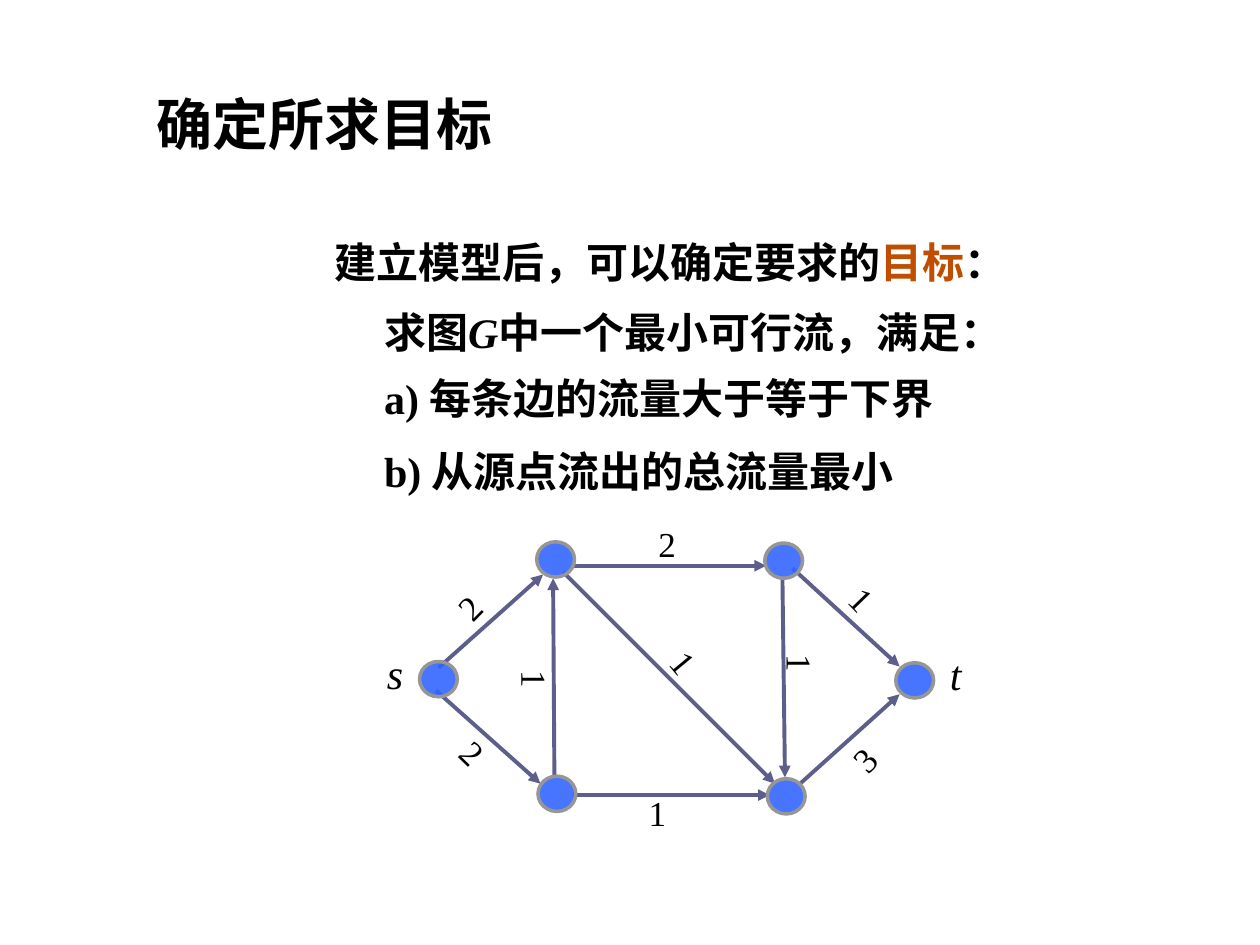
"""Build the slide that states the objective of a minimum feasible flow."""
from lxml.etree import SubElement
from pptx import Presentation
from pptx.dml.color import RGBColor
from pptx.enum.lang import MSO_LANGUAGE_ID
from pptx.enum.shapes import MSO_CONNECTOR, MSO_SHAPE
from pptx.enum.text import MSO_ANCHOR, PP_ALIGN
from pptx.oxml.ns import qn
from pptx.util import Inches, Pt


def color(value):
    return RGBColor.from_string(value)


def add_text(left, top, width, height, runs, size, bold=False, align=PP_ALIGN.LEFT):
    box = slide.shapes.add_textbox(Inches(left), Inches(top), Inches(width), Inches(height))
    box.text_frame.word_wrap = True
    paragraph = box.text_frame.paragraphs[0]
    paragraph.alignment = align
    for text, ink, italic in runs:
        run = paragraph.add_run()
        run.text = text
        run.font.name = "Times New Roman"
        run.font.size = Pt(size)
        run.font.bold = bold
        run.font.italic = italic
        run.font.color.rgb = color(ink)
        run.font.language_id = MSO_LANGUAGE_ID.SIMPLIFIED_CHINESE
    return box


BLACK, ORANGE = "000000", "C04E00"
EDGE, NODE_FILL, NODE_LINE = "5E5E8C", "3366FF", "969696"
NODE_WIDTH, NODE_HEIGHT = 0.3, 0.28

presentation = Presentation()
presentation.slide_width, presentation.slide_height = Inches(10), Inches(7.5)
slide = presentation.slides.add_slide(presentation.slide_layouts[6])

title = add_text(1.14, 0.57, 5.59, 0.82, [("确定所求目标", BLACK, False)], 32, bold=True)
title.text_frame.vertical_anchor = MSO_ANCHOR.MIDDLE

statements = [
    (2.56, 1.83, 5.91, [("建立模型后，可以确定要求的", BLACK, False),
                        ("目标", ORANGE, False), ("：", BLACK, False)]),
    (2.95, 2.38, 5.75, [("求图", BLACK, False), ("G", BLACK, True),
                        ("中一个最小可行流，满足：", BLACK, False)]),
    (2.95, 2.91, 4.8, [("a) 每条边的流量大于等于下界", BLACK, False)]),
    (2.95, 3.49, 4.96, [("b) 从源点流出的总流量最小", BLACK, False)]),
]
for left, top, width, runs in statements:
    add_text(left, top, width, 0.5, runs, 24, bold=True)

for name, left, top in [("s", 2.89, 5.09), ("t", 7.34, 5.1)]:
    add_text(left, top, 0.49, 0.5, [(name, BLACK, True)], 24, align=PP_ALIGN.CENTER)

lower_bounds = [
    ("2", 5.05, 4.1, 0.49, 0),
    ("1", 5.05, 6.23, 0.32, 0),
    ("3", 6.7, 5.83, 0.28, 313.6),
    ("1", 6.54, 4.54, 0.6, 45.9),
    ("2", 3.54, 4.6, 0.37, 314.5),
    ("2", 3.56, 5.76, 0.38, 44.2),
    ("1", 4.07, 5.17, 0.35, 90),
    ("1", 5.26, 5.03, 0.32, 50.4),
    ("1", 6.13, 5.04, 0.44, 90),
]
for bound, left, top, width, angle in lower_bounds:
    label = add_text(left, top, width, 0.44, [(bound, BLACK, False)], 20, align=PP_ALIGN.CENTER)
    label.rotation = angle

edges = [
    (3.46, 5.48, 4.29, 6.22),
    (3.48, 5.3, 4.31, 4.56),
    (4.4, 6.16, 4.39, 4.59),
    (4.55, 4.49, 6.08, 4.49),
    (4.55, 6.31, 6.11, 6.31),
    (6.21, 4.59, 6.23, 6.17),
    (4.47, 4.54, 6.15, 6.22),
    (6.29, 4.51, 7.14, 5.29),
    (6.35, 6.22, 7.14, 5.51),
]
for ends in edges:
    edge = slide.shapes.add_connector(MSO_CONNECTOR.STRAIGHT, *map(Inches, ends))
    edge.line.color.rgb = color(EDGE)
    edge.line.width = Pt(2.25)
    SubElement(edge.line._get_or_add_ln(), qn("a:tailEnd"), type="triangle")
    SubElement(edge._element.spPr, qn("a:effectLst"))

node_corners = [(7.11, 5.26), (6.07, 4.31), (3.33, 5.25), (6.09, 6.18), (4.27, 6.16), (4.26, 4.3)]
for left, top in node_corners:
    node = slide.shapes.add_shape(MSO_SHAPE.OVAL, Inches(left), Inches(top),
                                  Inches(NODE_WIDTH), Inches(NODE_HEIGHT))
    node.shadow.inherit = False
    node.fill.solid()
    node.fill.fore_color.rgb = color(NODE_FILL)
    fill_color = node._element.spPr.find(qn("a:solidFill"))[0]
    SubElement(fill_color, qn("a:alpha"), val="90000")
    node.line.color.rgb = color(NODE_LINE)
    node.line.width = Pt(2)

presentation.save("out.pptx")
